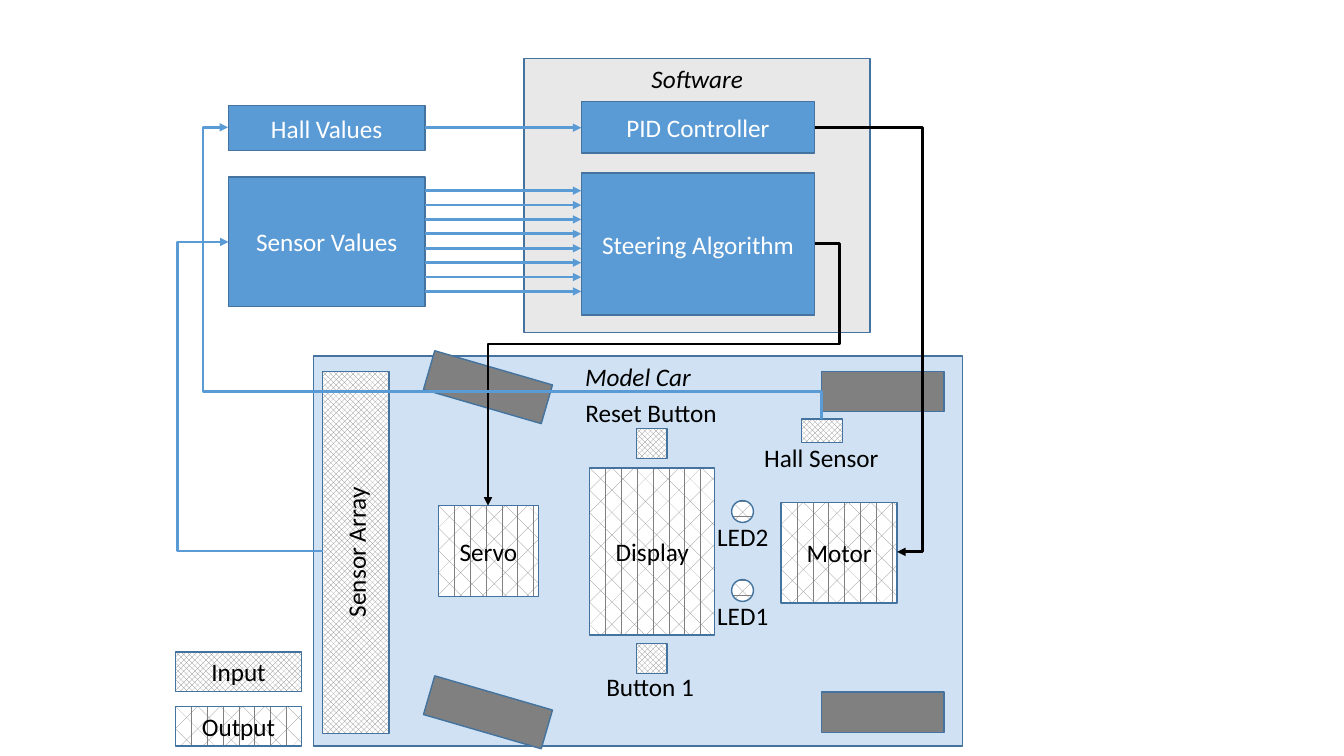
from lxml import etree
from pptx import Presentation
from pptx import util as u
from pptx.dml.color import RGBColor
from pptx.enum import dml, shapes, text
from pptx.oxml.ns import qn

prs = Presentation()
prs.slide_width, prs.slide_height = u.Inches(13.33), u.Inches(7.5)
s = prs.slides.add_slide(prs.slide_layouts[6])
col, row = prs.slide_width / 160, prs.slide_height / 90
rgb = RGBColor.from_string
RECT, OVAL = shapes.MSO_SHAPE.RECTANGLE, shapes.MSO_SHAPE.OVAL
INPUT, OUTPUT = [dml.MSO_PATTERN.from_xml(name) for name in ("openDmnd", "divot")]
BLUE, EDGE, GREY, BLACK, WHITE = "5B9BD5", "43739E", "808080", "000000", "FFFFFF"
TOP, MIDDLE = text.MSO_ANCHOR.TOP, text.MSO_ANCHOR.MIDDLE


def box(x, y, w, h, fill=None, words="", color=BLACK, kind=RECT, anchor=MIDDLE, italic=None):
    area = [int(x * col), int(y * row), int(w * col), int(h * row)]
    if fill is None:
        sp = s.shapes.add_textbox(*area)
    else:
        sp = s.shapes.add_shape(kind, *area)
        sp.shadow.inherit = False
        sp.line.color.rgb = rgb(EDGE)
        sp.line.width = u.Pt(1)
        if isinstance(fill, str):
            sp.fill.solid()
            sp.fill.fore_color.rgb = rgb(fill)
        else:
            sp.fill.patterned()
            sp.fill.pattern = fill
            sp.fill.fore_color.rgb = rgb(GREY)
            sp.fill.back_color.rgb = rgb(WHITE)
    if words:
        tf = sp.text_frame
        tf.word_wrap = fill is not None
        tf.vertical_anchor = TOP if fill is None else anchor
        p = tf.paragraphs[0]
        p.alignment = text.PP_ALIGN.LEFT if fill is None else text.PP_ALIGN.CENTER
        r = p.add_run()
        r.text = words
        r.font.name, r.font.size, r.font.italic = "Calibri", u.Pt(18), italic
        r.font.color.rgb = rgb(color)
    return sp


def wire(x, y, w, h, color=BLUE, bends=(), **turn):
    kind = shapes.MSO_CONNECTOR.ELBOW if bends else shapes.MSO_CONNECTOR.STRAIGHT
    sp = s.shapes.add_connector(
        kind, int(x * col), int(y * row), int((x + w) * col), int((y + h) * row))
    sp.line.color.rgb = rgb(color)
    sp.line.width = u.Pt(2)
    pr = sp._element.spPr
    etree.SubElement(pr.find(qn("a:ln")), qn("a:tailEnd"), type="triangle")
    etree.SubElement(pr, qn("a:effectLst"))
    for name, value in turn.items():
        pr.find(qn("a:xfrm")).set(name, str(value))
    if bends:
        geom = pr.find(qn("a:prstGeom"))
        geom.set("prst", f"bentConnector{len(bends) + 2}")
        for i, share in enumerate(bends, 1):
            etree.SubElement(geom.find(qn("a:avLst")), qn("a:gd"),
                             name=f"adj{i}", fmla=f"val {round(share * 1000)}")


for x, y, w, h, fill, alpha, words in [
    (62.4, 7, 41.2, 32.6, "C9C9C9", 42, "Software"),
    (37.3, 42.4, 77.3, 46.4, BLUE, 29, "Model Car"),
]:
    sp = box(x, y, w, h, fill, words, anchor=TOP, italic=True)
    tint = sp._element.spPr.find(qn("a:solidFill"))[0]
    etree.SubElement(tint, qn("a:alpha"), val=str(alpha * 1000))

array = box(38.4, 44.2, 7.9, 43.1, INPUT, "Sensor Array")
array.text_frame._txBody.bodyPr.set("vert", "vert270")

for x, y, angle in [(50.8, 82.4, 16.2), (50.8, 43.7, 16.2), (97.8, 44.2, 0), (97.8, 82.4, 0)]:
    box(x, y, 14.6, 4.8, GREY).rotation = angle

for x, y, w, h, fill, words in [
    (52.2, 60.2, 11.9, 10.8, OUTPUT, "Servo"),
    (93, 59.8, 13.8, 12, OUTPUT, "Motor"),
    (70.2, 55.7, 14.9, 19.9, OUTPUT, "Display"),
    (75.8, 51, 3.6, 3.6, INPUT, ""),
    (75.8, 76.6, 3.6, 3.6, INPUT, ""),
    (95.4, 49.9, 4.9, 2.8, INPUT, ""),
    (20.9, 77.6, 15, 4.7, INPUT, "Input"),
    (20.9, 84.1, 15, 4.7, OUTPUT, "Output"),
]:
    box(x, y, w, h, fill, words)

for y, words in [(59.6, "LED2"), (69, "LED1")]:
    box(87.1, y, 2.6, 2.6, OUTPUT, kind=OVAL)
    box(84.2, y + 1.85, 8.6, 4.8, words=words)

for x, y, w, words in [
    (89.8, 52.1, 16.2, "Hall Sensor"),
    (68.5, 46.7, 18.2, "Reset Button"),
    (71, 79.3, 13.1, "Button 1"),
]:
    box(x, y, w, 4.8, words=words)

for x, y, w, h, words in [
    (27.2, 12.6, 23.4, 5.3, "Hall Values"),
    (27.2, 21.1, 23.4, 15.4, "Sensor Values"),
    (69.2, 12.1, 27.8, 6.1, "PID Controller"),
    (69.2, 20.6, 27.8, 16.9, "Steering Algorithm"),
]:
    box(x, y, w, h, BLUE, words, WHITE)

for y in [15.2] + [22.7 + 12 / 7 * i for i in range(8)]:
    wire(50.6, y, 18.6, 0)

wire(27.2, 28.8, 11.2, 36.8, bends=[154.3], rot=180 * 60000)
wire(58.1, 29, 38.9, 31.2, BLACK, [-7.7, 38.3], flipH=1)
wire(97, 15.2, 9.8, 50.5, BLACK, [130.7])
wire(45.1, -2.8, 34.7, 70.6, bends=[9.3, 104.2], rot=270 * 60000, flipV=1)

prs.save("out.pptx")
